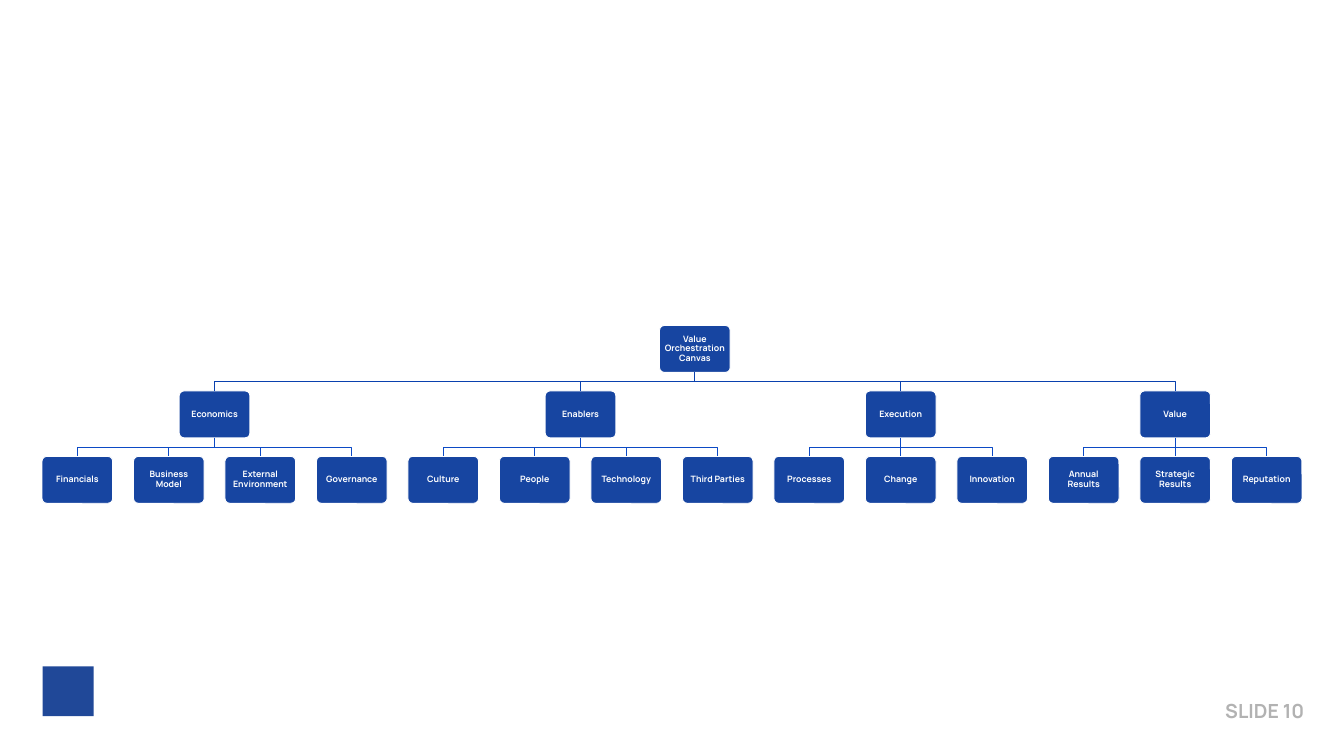
from lxml.etree import SubElement as Sub
from pptx import Presentation as Deck
from pptx.dml.color import RGBColor as Rgb
from pptx.enum.shapes import MSO_CONNECTOR as Link, MSO_SHAPE as Form
from pptx.enum.text import MSO_ANCHOR as Anchor, PP_ALIGN as Align
from pptx.oxml.ns import qn
from pptx.util import Inches as In, Pt

BLUE = Rgb(0x17, 0x45, 0xA1)
TOP = Rgb(0x0A, 0x41, 0xAE)
LOW = Rgb(0x0C, 0x4A, 0xC5)
MARK = Rgb(0x20, 0x48, 0x98)
WHITE = Rgb(0xFF, 0xFF, 0xFF)
BLACK = Rgb(0, 0, 0)

ROOT = "Value Orchestration Canvas"
TREE = {
    "Economics": ["Financials", "Business Model", "External Environment", "Governance"],
    "Enablers": ["Culture", "People", "Technology", "Third Parties"],
    "Execution": ["Processes", "Change", "Innovation"],
    "Value": ["Annual Results", "Strategic Results", "Reputation"],
}


class Chart:
    """Draws an organisation tree on a grid of columns and rows."""

    font = "Manrope"
    left, top = In(0.6), In(4.65)
    col, row = In(16.99) / 13, In(1.87) / 2
    wide, high = In(1.01), In(0.67)

    def __init__(self, deck):
        self.deck = deck
        self.slide = deck.slides.add_slide(deck.slide_layouts[6])
        self.shapes = self.slide.shapes

    def text(self, frame, words, size, color, align):
        frame.word_wrap = True
        frame.vertical_anchor = Anchor.MIDDLE
        para = frame.paragraphs[0]
        para.text = words
        para.alignment = align
        font = para.font
        font.name, font.size, font.bold = self.font, Pt(size), True
        font.color.rgb = color
        return para

    def shape(self, form, place, fill):
        item = self.shapes.add_shape(form, *map(round, place))
        item.shadow.inherit = False
        item.fill.solid()
        item.fill.fore_color.rgb = fill
        item.line.fill.background()
        return item

    def box(self, words, col, row):
        place = (self.left + col * self.col, self.top + row * self.row, self.wide, self.high)
        item = self.shape(Form.ROUNDED_RECTANGLE, place, BLUE)
        item.adjustments[0] = 0.1
        item.line.color.rgb = WHITE
        item.line.width = Pt(1)
        frame = item.text_frame
        frame.margin_left = frame.margin_right = In(0.04)
        frame.margin_top = frame.margin_bottom = In(0.04)
        para = self.text(frame, words, 9, WHITE, Align.CENTER)
        para.line_spacing = 0.9
        return item

    def join(self, head, kid, color):
        x, y = head.left + head.width // 2, head.top + head.height
        end = kid.left + kid.width // 2
        if abs(end - x) < Pt(1):
            line = self.shapes.add_connector(Link.STRAIGHT, x, y, end, kid.top)
            line.begin_connect(head, 2)
            line.end_connect(kid, 0)
            Sub(line._element.spPr, qn("a:effectLst"))
        else:
            mid = (y + kid.top) // 2
            route = self.shapes.build_freeform(x, y)
            route.add_line_segments([(x, mid), (end, mid), (end, kid.top)], close=False)
            line = route.convert_to_shape()
            line.shadow.inherit = False
            line.fill.background()
        line.line.color.rgb = color
        line.line.width = Pt(1)

    def share(self, x, y, wide, high):
        w, h = self.deck.slide_width, self.deck.slide_height
        return [round(part) for part in (x * w, y * h, wide * w, high * h)]

    def mark(self, *place):
        self.shape(Form.RECTANGLE, self.share(*place), MARK)

    def label(self, words, *place):
        item = self.shapes.add_textbox(*self.share(*place))
        para = self.text(item.text_frame, words, 20, BLACK, Align.RIGHT)
        for tone in para._p.iter(qn("a:srgbClr")):
            Sub(tone, qn("a:alpha"), val="30000")


def main():
    deck = Deck()
    deck.slide_width, deck.slide_height = In(19.2), In(10.8)
    chart = Chart(deck)
    chart.mark(0.61 / 19.2, 9.52 / 10.8, 0.73 / 19.2, 0.71 / 10.8)
    chart.label("SLIDE 10", 16.93 / 19.2, 9.93 / 10.8, 1.8 / 19.2, 0.44 / 10.8)

    heads, start = [], 0
    for name, kids in TREE.items():
        head = chart.box(name, start + (len(kids) - 1) / 2, 1)
        heads.append(head)
        for col, kid in enumerate(kids, start):
            chart.join(head, chart.box(kid, col, 2), LOW)
        start += len(kids)

    mid = (heads[0].left + heads[-1].left) / 2
    root = chart.box(ROOT, (mid - chart.left) / chart.col, 0)
    for head in heads:
        chart.join(root, head, TOP)
    deck.save("out.pptx")


if __name__ == "__main__":
    main()
